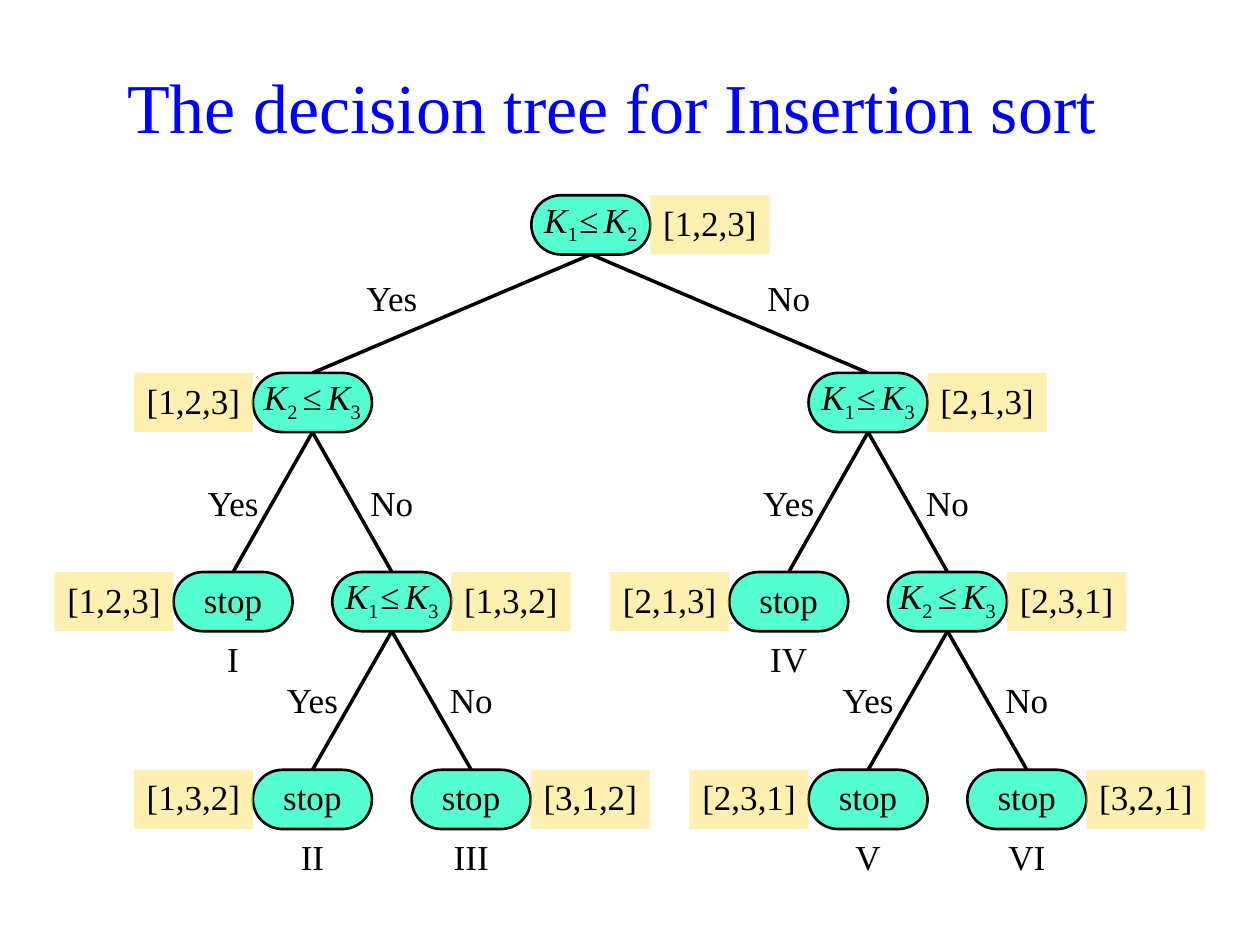
from dataclasses import dataclass
from typing import Optional

from lxml.etree import SubElement
from pptx import Presentation
from pptx.dml.color import RGBColor
from pptx.enum.shapes import MSO_CONNECTOR as Connector, MSO_SHAPE as Shape
from pptx.enum.text import MSO_ANCHOR as Anchor, MSO_AUTO_SIZE as AutoSize, PP_ALIGN as Align
from pptx.oxml.ns import qn
from pptx.util import Inches, Pt


@dataclass(frozen=True)
class Theme:
    font: str = "Times New Roman"
    title_size: int = 40
    text_size: int = 20
    title: str = "0000FF"
    ink: str = "000000"
    node: str = "56FFD2"
    order: str = "FFE267"
    paper: str = "FFFFFF"
    node_line: float = 1.5
    edge_line: float = 2


@dataclass(frozen=True)
class Node:
    x: float                  # centre
    level: int
    order: str                # current arrangement of the keys
    order_side: int           # -1 left of the node, 1 right of it
    keys: tuple = ()          # indices compared; empty at a leaf
    numeral: str = ""
    parent: Optional["Node"] = None
    answer: str = ""

    @property
    def top(self):
        return LEVEL_TOPS[self.level]


THEME = Theme()
LEVEL_TOPS = (1.55, 2.96, 4.54, 6.11)
NODE_W, ROW_H, STEP = 0.945, 0.47, 0.63


def build_tree():
    root = Node(4.69, 0, "[1,2,3]", 1, (1, 2))

    def child(parent, answer, order, order_side, keys=(), numeral="", x=None):
        if x is None:
            x = parent.x + (-STEP if answer == "Yes" else STEP)
        return Node(x, parent.level + 1, order, order_side, keys, numeral, parent, answer)

    left = child(root, "Yes", "[1,2,3]", -1, (2, 3), x=2.48)
    left_no = child(left, "No", "[1,3,2]", 1, (1, 3))
    right = child(root, "No", "[2,1,3]", 1, (1, 3), x=6.89)
    right_no = child(right, "No", "[2,3,1]", 1, (2, 3))
    return [
        root, left, right, left_no, right_no,
        child(left, "Yes", "[1,2,3]", -1, numeral="I"),
        child(left_no, "Yes", "[1,3,2]", -1, numeral="II"),
        child(left_no, "No", "[3,1,2]", 1, numeral="III"),
        child(right, "Yes", "[2,1,3]", -1, numeral="IV"),
        child(right_no, "Yes", "[2,3,1]", -1, numeral="V"),
        child(right_no, "No", "[3,2,1]", 1, numeral="VI"),
    ]


def add_run(paragraph, text, size=THEME.text_size, color=THEME.ink,
            italic=False, subscript=False, spacing=0):
    run = paragraph.add_run()
    run.text = text
    run.font.name = THEME.font
    run.font.size = Pt(size)
    run.font.italic = italic
    run.font.color.rgb = RGBColor.from_string(color)
    properties = run.font._element
    if subscript:
        properties.set("baseline", "-25000")
    if spacing:
        properties.set("spc", str(spacing * 100))


def centre_text(shape, anchor, bottom=0):
    """Set up a one-line centred text frame and return its paragraph."""
    frame = shape.text_frame
    frame.word_wrap = False
    frame.vertical_anchor = anchor
    frame.margin_left = frame.margin_right = Inches(0.1)
    frame.margin_top, frame.margin_bottom = 0, Inches(bottom)
    paragraph = frame.paragraphs[0]
    paragraph.alignment = Align.CENTER
    return paragraph


def add_box(slide, kind, x, top, width, fill):
    """Add a filled shape centred on x."""
    box = slide.shapes.add_shape(
        kind, Inches(x - width / 2), Inches(top), Inches(width), Inches(ROW_H))
    box.shadow.inherit = False
    box.fill.solid()
    box.fill.fore_color.rgb = RGBColor.from_string(fill)
    return box


def add_tag(slide, text, x, top, width, fill):
    """Add a half-transparent label without an outline."""
    tag = add_box(slide, Shape.RECTANGLE, x, top, width, fill)
    tag.line.fill.background()
    color = tag.fill._xPr.find(qn("a:solidFill"))[0]
    SubElement(color, qn("a:alpha"), val="50000")
    add_run(centre_text(tag, Anchor.MIDDLE, 0.04), text)


def add_node(slide, node):
    pill = add_box(slide, Shape.ROUNDED_RECTANGLE, node.x, node.top, NODE_W, THEME.node)
    pill.adjustments[0] = 0.5
    pill.line.color.rgb = RGBColor.from_string(THEME.ink)
    pill.line.width = Pt(THEME.node_line)
    paragraph = centre_text(pill, Anchor.BOTTOM, 0 if node.keys else 0.02)
    if not node.keys:
        add_run(paragraph, "stop")
        return
    first, second = node.keys
    add_run(paragraph, "K", italic=True)
    add_run(paragraph, str(first), subscript=True, spacing=1 if first == 1 else 3)
    add_run(paragraph, "≤", spacing=3)
    add_run(paragraph, "K", italic=True)
    add_run(paragraph, str(second), subscript=True)


def add_edge(slide, node):
    edge = slide.shapes.add_connector(
        Connector.STRAIGHT, Inches(node.parent.x), Inches(node.parent.top + ROW_H),
        Inches(node.x), Inches(node.top))
    edge.line.color.rgb = RGBColor.from_string(THEME.ink)
    edge.line.width = Pt(THEME.edge_line)
    SubElement(edge._element.spPr, qn("a:effectLst"))


def add_answer(slide, node):
    """Add Yes or No beside the edge; the wide top edges pull it inwards."""
    x, bottom = node.x, 0
    if node.level == 1:
        x += STEP if node.answer == "Yes" else -STEP
        bottom = 0.08
    label = slide.shapes.add_textbox(
        Inches(x - STEP / 2), Inches(node.top - 0.79), Inches(STEP), Inches(ROW_H))
    add_run(centre_text(label, Anchor.MIDDLE, bottom), node.answer)


def add_title(slide, text):
    title = slide.shapes.title
    title.left, title.top = Inches(0.91), Inches(0.28)
    title.width, title.height = Inches(8.19), Inches(0.94)
    frame = title.text_frame
    frame.auto_size = AutoSize.NONE
    frame.vertical_anchor = Anchor.BOTTOM
    frame.paragraphs[0].alignment = Align.LEFT
    add_run(frame.paragraphs[0], text, THEME.title_size, THEME.title)


def main():
    deck = Presentation()
    deck.slide_width, deck.slide_height = Inches(10), Inches(7.5)
    slide = deck.slides.add_slide(deck.slide_layouts[5])
    add_title(slide, "The decision tree for Insertion sort")
    tree = build_tree()

    # Leaf numerals, answers and edges lie behind the nodes
    for node in tree:
        if node.numeral:
            add_tag(slide, node.numeral, node.x, node.top + ROW_H, STEP, THEME.paper)
        if node.parent:
            add_answer(slide, node)
            add_edge(slide, node)

    # Nodes, each with its key order beside it
    for node in tree:
        add_node(slide, node)
        add_tag(slide, node.order, node.x + node.order_side * NODE_W,
                node.top, NODE_W, THEME.order)

    deck.save("out.pptx")


if __name__ == "__main__":
    main()
